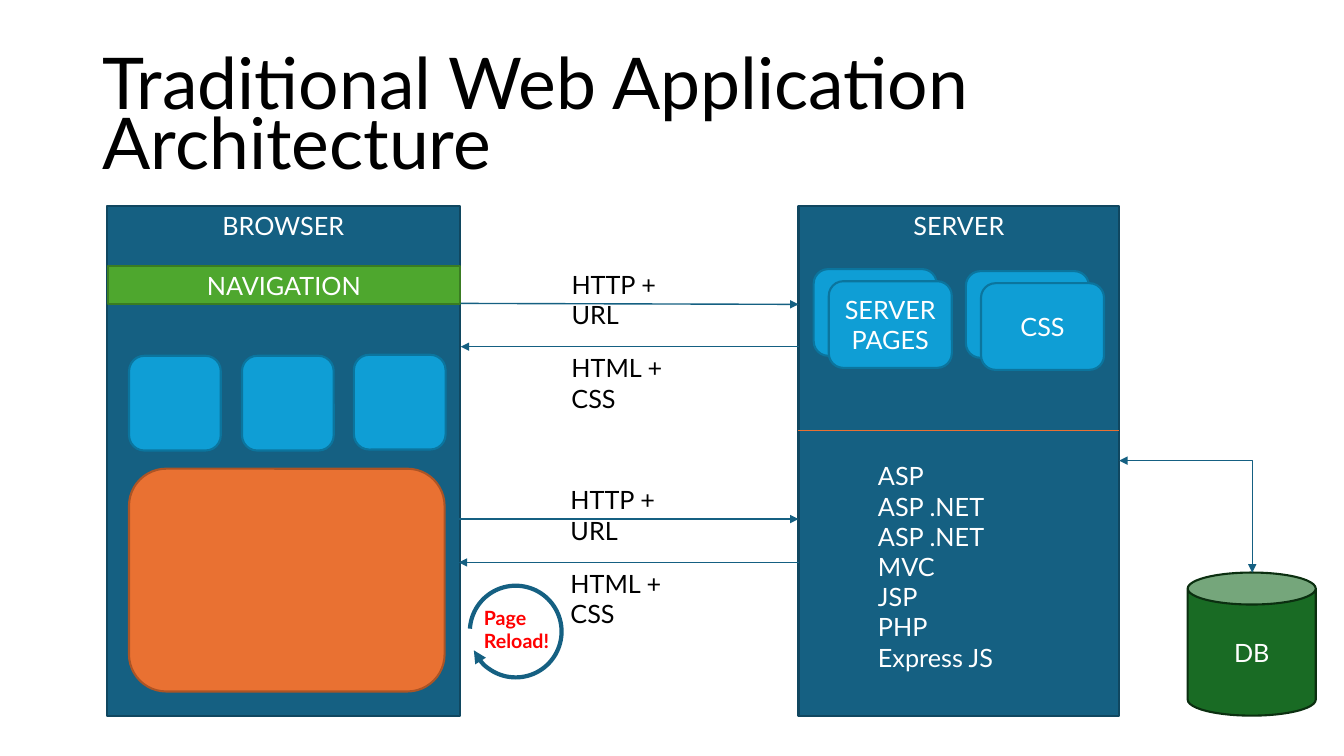
import pptx
import pptx.util
import pptx.dml.color
import pptx.enum.shapes
import pptx.enum.text
import pptx.oxml
import pptx.oxml.ns
import lxml.etree

Inches = pptx.util.Inches
Pt = pptx.util.Pt
SHAPE = pptx.enum.shapes.MSO_SHAPE
CONNECTOR = pptx.enum.shapes.MSO_CONNECTOR
ANCHOR = pptx.enum.text.MSO_ANCHOR
ALIGN = pptx.enum.text.PP_ALIGN
RGB = pptx.dml.color.RGBColor.from_string
qn = pptx.oxml.ns.qn

COLORS = {
    "panel": "156082", "panel_edge": "104760",
    "nav": "4EA72E", "nav_edge": "3A7C22",
    "tile": "0F9ED5", "tile_edge": "0B759E",
    "content": "E97132", "content_edge": "AC5425",
    "db": "196B24", "db_edge": "0B2F10",
    "white": "FFFFFF", "black": "000000", "alert": "FF0000",
}

deck = pptx.Presentation()
deck.slide_width = Inches(13.33)
deck.slide_height = Inches(7.5)
slide = deck.slides.add_slide(deck.slide_layouts[6])
shapes = slide.shapes


def write(frame, lines, size, color, align=ALIGN.LEFT, anchor=ANCHOR.TOP, bold=False, spacing=None):
    frame.word_wrap = True
    frame.vertical_anchor = anchor
    for index, line in enumerate(lines):
        paragraph = frame.paragraphs[0] if index == 0 else frame.add_paragraph()
        paragraph.alignment = align
        paragraph.line_spacing = spacing
        run = paragraph.add_run()
        run.text = line
        run.font.name = "Lato"
        run.font.size = Pt(size)
        run.font.bold = bold
        run.font.color.rgb = RGB(COLORS[color])


def block(kind, box, color, label=None, anchor=ANCHOR.MIDDLE):
    shape = shapes.add_shape(kind, *map(Inches, box))
    shape.shadow.inherit = False
    shape.fill.solid()
    shape.fill.fore_color.rgb = RGB(COLORS[color])
    shape.line.color.rgb = RGB(COLORS[color + "_edge"])
    shape.line.width = Pt(1.5)
    if label:
        write(shape.text_frame, [label], 18, "white", ALIGN.CENTER, anchor)


title = shapes.add_textbox(Inches(0.92), Inches(0.4), Inches(11.5), Inches(1.45))
write(title.text_frame, ["Traditional Web Application Architecture"], 51, "black",
      anchor=ANCHOR.BOTTOM, spacing=0.7)

block(SHAPE.RECTANGLE, (1.06, 2.04, 3.5, 5.06), "panel", "BROWSER", ANCHOR.TOP)
block(SHAPE.RECTANGLE, (1.07, 2.64, 3.49, 0.38), "nav", "NAVIGATION")
for left, top in [(1.28, 3.53), (2.4, 3.53), (3.51, 3.52)]:
    block(SHAPE.ROUNDED_RECTANGLE, (left, top, 0.91, 0.94), "tile")
block(SHAPE.ROUNDED_RECTANGLE, (1.28, 4.65, 3.13, 2.21), "content")

block(SHAPE.RECTANGLE, (7.92, 2.04, 3.18, 5.06), "panel", "SERVER", ANCHOR.TOP)
for left, top, label in [(8.07, 2.67, "SERVER PAGES"), (9.58, 2.69, "CSS")]:
    block(SHAPE.ROUNDED_RECTANGLE, (left, top, 1.22, 0.86), "tile")
    block(SHAPE.ROUNDED_RECTANGLE, (left + 0.15, top + 0.12, 1.22, 0.86), "tile", label)
block(SHAPE.CAN, (11.78, 5.68, 1.27, 1.42), "db", "DB")

links = [
    (CONNECTOR.STRAIGHT, (7.91, 4.27, 11.1, 4.27), "content", []),
    (CONNECTOR.ELBOW, (11.1, 4.57, 12.42, 5.68), "panel", ["headEnd", "tailEnd"]),
    (CONNECTOR.STRAIGHT, (4.57, 3.01, 7.92, 3.02), "panel", ["tailEnd"]),
    (CONNECTOR.STRAIGHT, (7.92, 3.44, 4.57, 3.44), "panel", ["tailEnd"]),
    (CONNECTOR.STRAIGHT, (4.55, 5.15, 7.92, 5.15), "panel", ["tailEnd"]),
    (CONNECTOR.STRAIGHT, (7.92, 5.58, 4.55, 5.58), "panel", ["tailEnd"]),
]
for kind, ends, color, arrowheads in links:
    link = shapes.add_connector(kind, *map(Inches, ends))
    link.line.color.rgb = RGB(COLORS[color])
    link.line.width = Pt(1)
    for arrowhead in arrowheads:
        lxml.etree.SubElement(link.line._get_or_add_ln(), qn("a:" + arrowhead), type="triangle")
    properties = link._element.spPr
    lxml.etree.SubElement(properties, qn("a:effectLst"))
    if kind == CONNECTOR.ELBOW:
        properties.find(qn("a:prstGeom")).set("prst", "bentConnector2")

technologies = ["ASP", "ASP .NET", "ASP .NET MVC", "JSP", "PHP", "Express JS"]
captions = [((8.61, 4.52, 1.67, 1.92), technologies, "white")]
for left, top in [(5.57, 2.62), (5.56, 4.76)]:
    captions.append(((left, top, 1.39, 0.4), ["HTTP + URL"], "black"))
    captions.append(((left, top + 0.83, 1.47, 0.4), ["HTML + CSS"], "black"))
for box, lines, color in captions:
    caption = shapes.add_textbox(*map(Inches, box))
    write(caption.text_frame, lines, 18, color)

reload_arc = shapes.add_shape(SHAPE.ARC, Inches(4.66), Inches(5.81), Inches(0.91), Inches(0.91))
reload_arc.shadow.inherit = False
reload_arc.adjustments[0] = 162
reload_arc.adjustments[1] = 145.327
reload_arc.rotation = 273.6
reload_arc.fill.background()
reload_arc.line.color.rgb = RGB(COLORS["panel"])
reload_arc.line.width = Pt(3)
lxml.etree.SubElement(reload_arc.line._get_or_add_ln(), qn("a:tailEnd"), type="triangle")

reload_label = shapes.add_textbox(Inches(4.74), Inches(5.96), Inches(0.83), Inches(0.57))
reload_label.text_frame.margin_left = Inches(0.06)
reload_label.text_frame.margin_right = 0
write(reload_label.text_frame, ["Page", "Reload!"], 14, "alert", bold=True)

deck.save("out.pptx")
